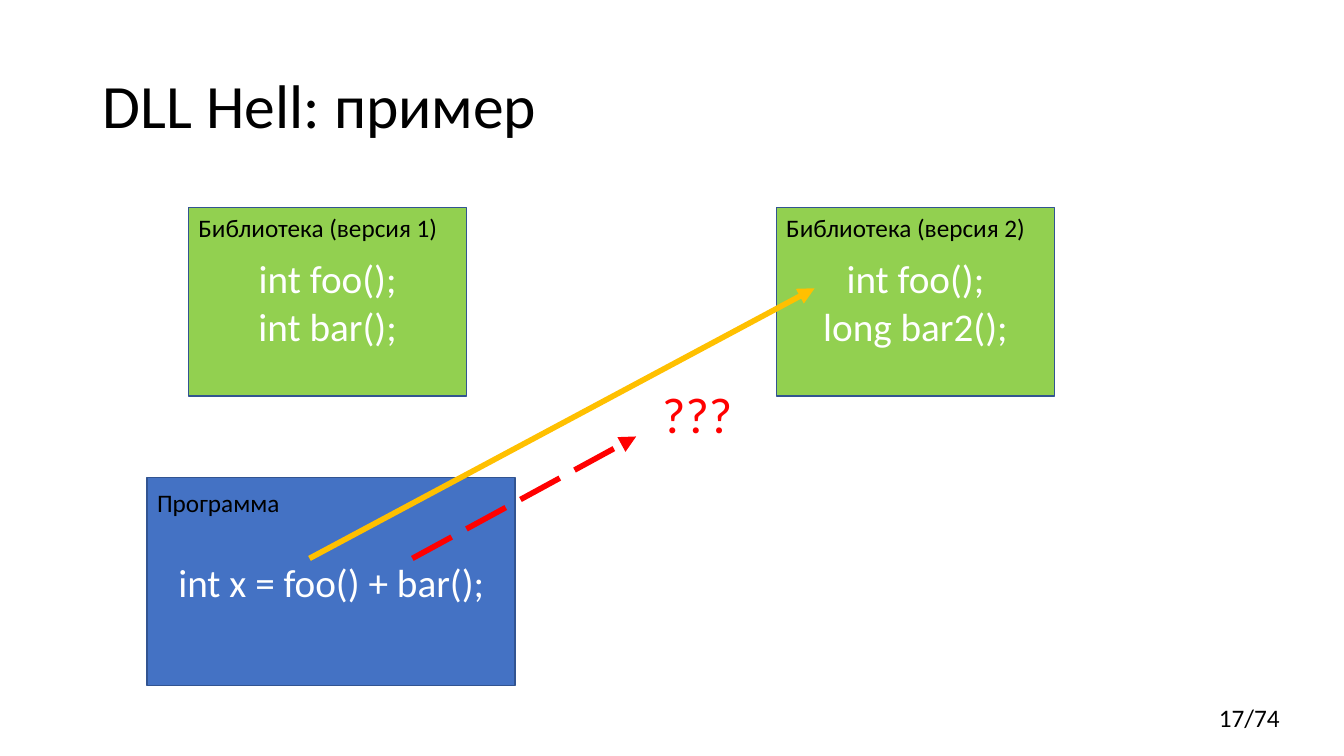
from lxml.etree import SubElement
from pptx import Presentation
from pptx.dml.color import RGBColor
from pptx.enum.dml import MSO_LINE
from pptx.enum.shapes import MSO_CONNECTOR, MSO_SHAPE
from pptx.enum.text import MSO_ANCHOR, MSO_AUTO_SIZE, PP_ALIGN
from pptx.oxml.ns import qn
from pptx.util import Pt

EMU_PER_PX = 9144  # 100 px to the inch
FONT = "Calibri"
BLACK = RGBColor(0x00, 0x00, 0x00)
WHITE = RGBColor(0xFF, 0xFF, 0xFF)
BLUE = RGBColor(0x44, 0x72, 0xC4)
OUTLINE = RGBColor(0x32, 0x54, 0x91)
GREEN = RGBColor(0x92, 0xD0, 0x50)
AMBER = RGBColor(0xFF, 0xC0, 0x00)
RED = RGBColor(0xFF, 0x00, 0x00)


def px(*lengths):
    return [length * EMU_PER_PX for length in lengths]


class SlideBuilder:
    """Holds the text style and the current slide."""

    def __init__(self, presentation, font):
        self.font = font
        self.slide = presentation.slides.add_slide(presentation.slide_layouts[5])

    def set_text(self, shape, text, size, color, align=PP_ALIGN.LEFT, anchor=MSO_ANCHOR.TOP):
        frame = shape.text_frame
        frame.text = text
        frame.word_wrap = True
        frame.vertical_anchor = anchor
        for paragraph in frame.paragraphs:
            paragraph.alignment = align
            for run in paragraph.runs:
                run.font.name = self.font
                run.font.size = Pt(size)
                run.font.color.rgb = color

    def title(self, text, left, top, width, height):
        title = self.slide.shapes.title
        title.left, title.top, title.width, title.height = px(left, top, width, height)
        self.set_text(title, text, 44, BLACK, anchor=MSO_ANCHOR.MIDDLE)
        title.text_frame.auto_size = MSO_AUTO_SIZE.NONE
        title.text_frame.paragraphs[0].line_spacing = 0.9

    def label(self, text, left, top, width, height=40, size=18, color=BLACK):
        box = self.slide.shapes.add_textbox(*px(left, top, width, height))
        self.set_text(box, text, size, color)
        box.text_frame.auto_size = MSO_AUTO_SIZE.SHAPE_TO_FIT_TEXT

    def code_box(self, code, left, top, width, height, fill):
        box = self.slide.shapes.add_shape(MSO_SHAPE.RECTANGLE, *px(left, top, width, height))
        box.shadow.inherit = False
        box.fill.solid()
        box.fill.fore_color.rgb = fill
        box.line.color.rgb = OUTLINE
        box.line.width = Pt(1)
        self.set_text(box, code, 28, WHITE, PP_ALIGN.CENTER, MSO_ANCHOR.MIDDLE)

    def arrow(self, start, end, color, dash=None):
        connector = self.slide.shapes.add_connector(MSO_CONNECTOR.STRAIGHT, *px(*start, *end))
        line = connector.line
        line.color.rgb = color
        line.width = Pt(4)
        if dash:
            line.dash_style = dash
        properties = connector.element.spPr
        SubElement(properties.find(qn("a:ln")), qn("a:tailEnd"), type="triangle")
        SubElement(properties, qn("a:effectLst"))


def main():
    presentation = Presentation()
    presentation.slide_width, presentation.slide_height = px(1333, 750)
    builder = SlideBuilder(presentation, FONT)

    # Title and page number
    builder.title("DLL Hell: пример", 92, 35, 1150, 145)
    builder.label("17/74", 1199, 692, 134)

    # Program
    builder.code_box("int x = foo() + bar();", 146, 474, 365, 206, BLUE)
    builder.label("Программа", 146, 479, 161)

    # Two versions of the library
    libraries = [
        (187, "Библиотека (версия 1)", "int foo();\nint bar();"),
        (770, "Библиотека (версия 2)", "int foo();\nlong bar2();"),
    ]
    for left, name, code in libraries:
        builder.code_box(code, left, 206, 276, 187, GREEN)
        builder.label(name, left, 206, 267)

    # Resolved and missing calls
    builder.arrow((307, 554), (808, 286), AMBER)
    builder.arrow((409, 554), (631, 433), RED, MSO_LINE.LONG_DASH)
    builder.label("???", 647, 375, 103, 71, size=36, color=RED)

    presentation.save("out.pptx")


if __name__ == "__main__":
    main()
